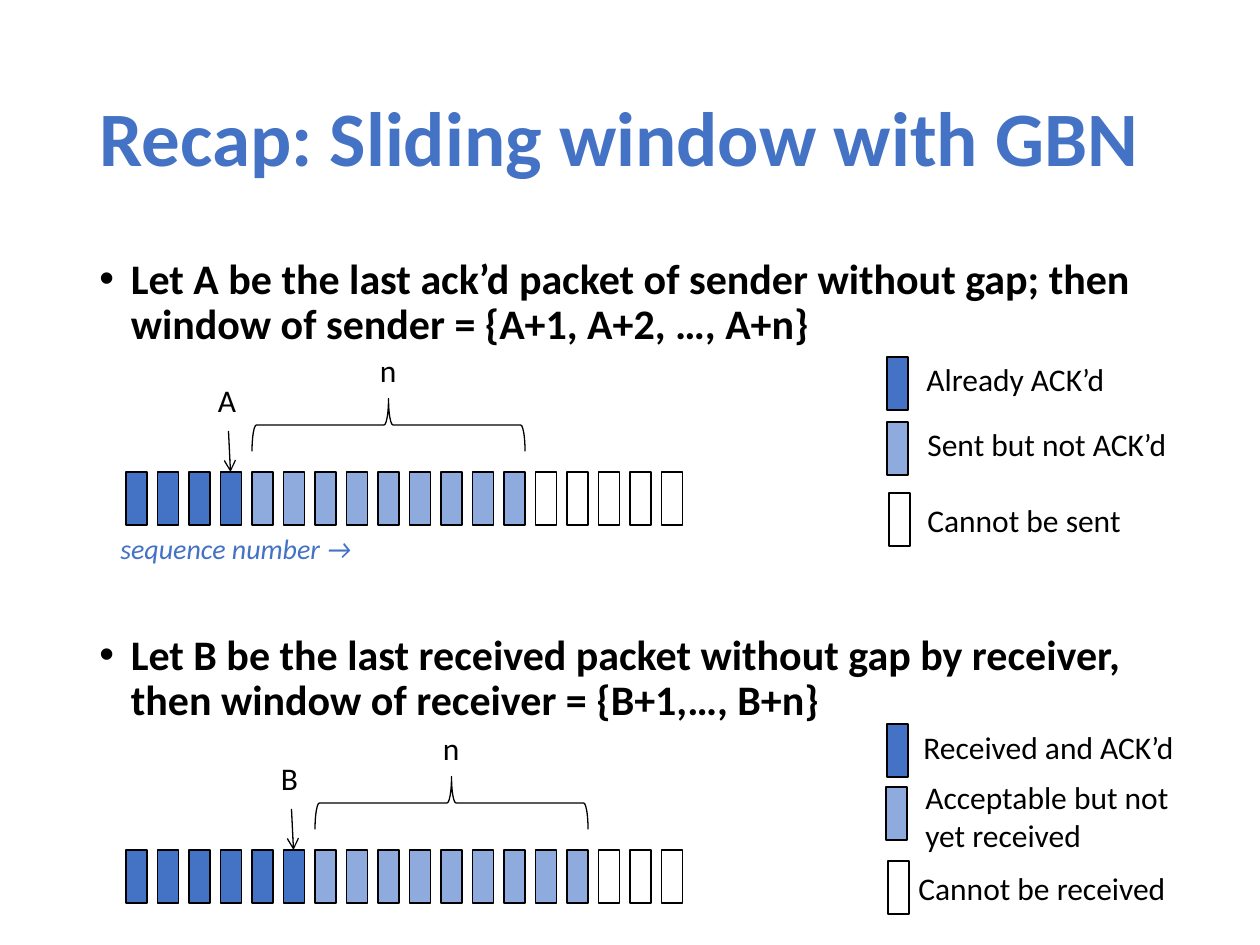
from dataclasses import dataclass
from lxml.etree import SubElement
from pptx import Presentation
from pptx.dml.color import RGBColor as RGB
from pptx.enum.shapes import MSO_CONNECTOR as Link, MSO_SHAPE as Kind
from pptx.enum.text import MSO_ANCHOR as Anchor
from pptx.oxml.ns import qn
from pptx.util import Emu, Pt

# Content
TITLE = "Recap: Sliding window with GBN"
POINTS = [
    "Let A be the last ack’d packet of sender without gap; then window of sender = {A+1, A+2, …, A+n}",
    "Let B be the last received packet without gap by receiver, then window of receiver = {B+1,…, B+n}",
]
AXIS = "sequence number →"
CELLS, SPAN = 18, 9
# Each key entry: swatch x, y, then text x, y, w, text
ROWS = [
    dict(mark="A", done=4, top=472, keys=[
        (887, 357, 914, 354, 232, "Already ACK’d"),
        (887, 422, 915, 419, 295, "Sent but not ACK’d"),
        (889, 493, 915, 495, 241, "Cannot be sent")]),
    dict(mark="B", done=6, top=850, keys=[
        (887, 724, 911, 722, 318, "Received and ACK’d"),
        (886, 787, 913, 772, 291, "Acceptable but not\vyet received"),
        (888, 861, 906, 863, 301, "Cannot be received")]),
]


@dataclass
class Theme:
    font: str = "Calibri"
    blue: str = "4472C4"
    pale: str = "8FAADC"
    white: str = "FFFFFF"
    black: str = "000000"
    title: int = 44
    body: int = 24
    label: int = 18
    axis: int = 16
    line: float = 0.75


T = Theme()
FILLS = [T.blue, T.pale, T.white]
CELL_W, CELL_H, PITCH = 21, 53, 63 / 2
LEFT = 126


def px(n):
    return Emu(round(n * 914400 / 126))


def box(x, y, w, h):
    return [px(n) for n in (x, y, w, h)]


deck = Presentation()
deck.slide_width, deck.slide_height = px(1260), px(945)
slide = deck.slides.add_slide(deck.slide_layouts[6])
shapes = slide.shapes


def style(para, size, color=T.black, bold=False, italic=False):
    font = para.font
    font.name, font.size, font.bold, font.italic = T.font, Pt(size), bold, italic
    font.color.rgb = RGB.from_string(color)


def frame(x, y, w, h):
    text = shapes.add_textbox(*box(x, y, w, h)).text_frame
    text.word_wrap = True
    return text


def label(x, y, w, h, words, size=T.label, **look):
    text = frame(x, y, w, h)
    para = text.paragraphs[0]
    para.text = words
    style(para, size, **look)
    return text


def shape(kind, x, y, w, h, fill=None):
    item = shapes.add_shape(kind, *box(x, y, w, h))
    item.shadow.inherit = False
    if fill:
        item.fill.solid()
        item.fill.fore_color.rgb = RGB.from_string(fill)
    else:
        item.fill.background()
    pen(item)
    return item


def pen(item):
    item.line.color.rgb = RGB.from_string(T.black)
    item.line.width = Pt(T.line)


def arrow(x1, y1, x2, y2):
    item = shapes.add_connector(Link.STRAIGHT, *box(x1, y1, x2, y2))
    pen(item)
    SubElement(item.line._get_or_add_ln(), qn("a:tailEnd"), type="arrow")
    SubElement(item._element.spPr, qn("a:effectLst"))


def cell(i):
    return LEFT + i * PITCH


# Title
head = label(87, 50, 1086, 183, TITLE, T.title, color=T.blue, bold=True)
head.vertical_anchor = Anchor.MIDDLE
head.paragraphs[0].line_spacing = 0.9

# Bullets, spaced so that each stands above its diagram
body = frame(87, 252, 1086, 600)
for i, point in enumerate(POINTS):
    para = body.add_paragraph() if i else body.paragraphs[0]
    para.text = point
    para.line_spacing = 0.9
    if i:
        para.space_before = Pt(163)
    props = para._p.get_or_add_pPr()
    props.set("marL", str(px(63 / 2)))
    props.set("indent", str(-px(63 / 2)))
    SubElement(props, qn("a:buFont"), typeface="Arial")
    SubElement(props, qn("a:buChar"), char="•")
    style(para, T.body, bold=True)

# Packet rows, window braces and keys
for row in ROWS:
    done, top = row["done"], row["top"]
    for i in range(CELLS):
        state = (i >= done) + (i >= done + SPAN)
        shape(Kind.RECTANGLE, cell(i), top, CELL_W, CELL_H, FILLS[state])

    # The brace is drawn upright and turned about its centre
    wide = (SPAN - 1) * PITCH + CELL_W
    mid = cell(done) + wide / 2
    brace = shape(Kind.LEFT_BRACE, mid - CELL_H / 2, top - 47 - wide / 2, CELL_H, wide)
    brace.rotation = 90
    label(mid - 21, top - 127, 47, 55, "n")

    last = cell(done - 1)
    label(last - 15, top - 97, 47, 55, row["mark"])
    arrow(last + 8, top - 41, last + 10, top)

    for fill, (x, y, tx, ty, w, words) in zip(FILLS, row["keys"]):
        shape(Kind.RECTANGLE, x, y, CELL_W, CELL_H, fill)
        label(tx, ty, w, 50 + 39 * words.count("\v"), words)

# Axis note under the sender row
label(108, 525, 364, 47, AXIS, T.axis, color=T.blue, italic=True)

deck.save("out.pptx")
